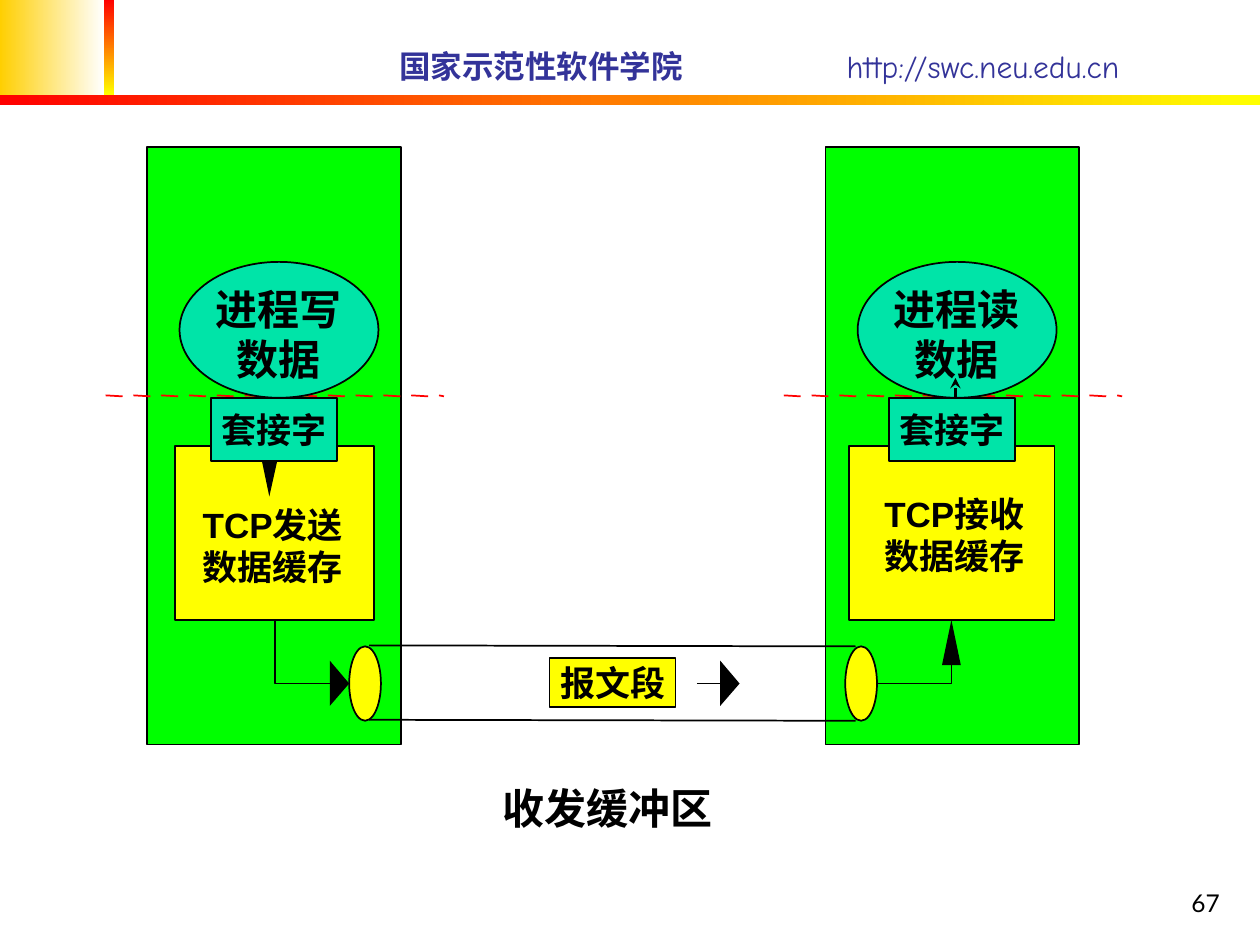
from lxml.etree import SubElement
from pptx import Presentation
from pptx.dml.color import RGBColor
from pptx.enum.shapes import MSO_CONNECTOR, MSO_SHAPE
from pptx.enum.text import MSO_ANCHOR, PP_ALIGN
from pptx.oxml.ns import qn
from pptx.util import Cm, Pt

COLORS = {
    "black": "000000", "white": "FFFFFF", "red": "FF0000", "yellow": "FFFF00",
    "gold": "FFCF01", "navy": "333399", "green": "00FF00", "teal": "00E4A8",
}
PADDING = (0.25, 0.13)
NO_PADDING = (0, 0)


def rgb(name):
    return RGBColor.from_string(COLORS[name])


def paint(shape, fill):
    """Give a shape a fill and a thin black outline."""
    shape.shadow.inherit = False
    shape.fill.solid()
    shape.fill.fore_color.rgb = rgb(fill)
    shape.line.color.rgb = rgb("black")
    shape.line.width = Pt(1)


def add_block(page, kind, x, y, width, height, fill):
    block = page.shapes.add_shape(kind, Cm(x), Cm(y), Cm(width), Cm(height))
    paint(block, fill)
    return block


def write(shape, text, size, font="Arial", bold=True, color="black", padding=NO_PADDING,
          align=PP_ALIGN.CENTER, anchor=MSO_ANCHOR.TOP, wrap=True):
    frame = shape.text_frame
    frame.margin_left = frame.margin_right = Cm(padding[0])
    frame.margin_top = frame.margin_bottom = Cm(padding[1])
    frame.word_wrap = wrap
    frame.vertical_anchor = anchor
    frame.text = text
    para = frame.paragraphs[0]
    para.alignment = align
    for span in para.runs:
        span.font.name = font
        span.font.size = Pt(size)
        span.font.bold = bold
        span.font.color.rgb = rgb(color)
    return para


def add_label(page, x, y, width, height, text, size, **style):
    box = page.shapes.add_textbox(Cm(x), Cm(y), Cm(width), Cm(height))
    return write(box, text, size, **style)


def add_line(page, start, end, color="black", width=1):
    line = page.shapes.add_connector(
        MSO_CONNECTOR.STRAIGHT, *(Cm(value) for value in (*start, *end)))
    line.line.color.rgb = rgb(color)
    line.line.width = Pt(width)
    SubElement(line.element.spPr, qn("a:effectLst"))
    return line


def add_outline(page, points, closed):
    corners = [(Cm(x), Cm(y)) for x, y in points]
    builder = page.shapes.build_freeform(*corners[0])
    builder.add_line_segments(corners[1:], close=closed)
    return builder.convert_to_shape()


def add_arrowhead(page, points):
    head = add_outline(page, points, closed=True)
    paint(head, "black")
    head.line.fill.background()


def add_elbow(page, points):
    elbow = add_outline(page, points, closed=False)
    paint(elbow, "black")
    elbow.fill.background()


def add_gradient_bar(page, x, y, width, height, first, last, angle):
    bar = add_block(page, MSO_SHAPE.RECTANGLE, x, y, width, height, first)
    bar.line.fill.background()
    bar.fill.gradient()
    bar.fill.gradient_angle = angle
    for stop, color, position in zip(bar.fill.gradient_stops, (first, last), (0, 1)):
        stop.color.rgb = rgb(color)
        stop.position = position


def add_header(page, x, y, width, height):
    # Gradient corner, upright bar and rule
    add_gradient_bar(page, x, y, 2.1, height, "gold", "white", 0)
    add_gradient_bar(page, x + 2.1, y, 0.2, height, "red", "yellow", 270)
    add_gradient_bar(page, x, y + height, width, 0.2, "red", "yellow", 0)

    # School name, with the address at a tab stop
    para = add_label(page, x + 7.8, y + 0.81, 17.02, 1.02, "国家示范性软件学院", 18,
                     font="Comic Neue", color="navy", padding=PADDING,
                     align=PP_ALIGN.LEFT, anchor=MSO_ANCHOR.MIDDLE)
    stops = SubElement(para._p.get_or_add_pPr(), qn("a:tabLst"))
    SubElement(stops, qn("a:tab"), pos=str(Cm(9.02)), algn="l")
    span = para.add_run()
    span.text = "\thttp://swc.neu.edu.cn"
    span.font.name = "Comic Neue"
    span.font.size = Pt(18)
    span.font.bold = False
    span.font.color.rgb = rgb("navy")


def add_host(page, x, y, process, buffer, sends):
    # Host and its TCP buffer
    add_block(page, MSO_SHAPE.RECTANGLE, x, y, 5.11, 12.04, "green")
    buffer_x, buffer_width = (0.56, 4.01) if sends else (0.48, 4.14)
    add_block(page, MSO_SHAPE.RECTANGLE, x + buffer_x, y + 6.02, buffer_width, 3.51, "yellow")
    text_x, text_y = (0.84, 7.19) if sends else (0.91, 6.96)
    add_label(page, x + text_x, y + text_y, 3.38, 1.7, buffer, 20)

    # Dashed boundary between application and system; the last dash is short
    for index in range(13):
        dash_x = x - 0.84 + index * 0.56
        length = 0.1 if index == 12 else 0.34
        add_line(page, (dash_x, y + 5), (dash_x + length, y + 5.02), "red")

    # Process and socket
    add_block(page, MSO_SHAPE.OVAL, x + 0.65, y + 2.31, 4.01, 2.74, "teal")
    add_label(page, x + 1.27, y + 2.74, 2.74, 2.03, process, 24)
    socket = add_block(page, MSO_SHAPE.RECTANGLE, x + 1.28, y + 5.05, 2.54, 1.27, "teal")
    write(socket, "套接字", 20, font="Comic Neue", padding=PADDING,
          anchor=MSO_ANCHOR.MIDDLE, wrap=False)

    # Data goes down into the buffer, or up into the process
    if sends:
        add_arrowhead(page, [(x + 2.62, y + 6.32), (x + 2.46, y + 7.04), (x + 2.31, y + 6.32)])
    else:
        arrow = add_line(page, (x + 2.62, y + 5.05), (x + 2.62, y + 4.65), width=2)
        SubElement(arrow.line._get_or_add_ln(), qn("a:tailEnd"), type="stealth")


def add_pipe(page, x, y, width, height):
    middle = y + height / 2
    cap = 0.64

    # End caps and walls
    for cap_x in (x, x + width - cap):
        add_block(page, MSO_SHAPE.OVAL, cap_x, y, cap, height, "yellow")
    for wall_y in (y - 0.02, y + height - 0.02):
        add_line(page, (x + 0.4, wall_y), (x + width - 0.43, wall_y + 0.02))

    # Segment moving to the right
    segment = add_block(page, MSO_SHAPE.RECTANGLE, x + 4.04, y + 0.23, 2.54, 0.99, "yellow")
    write(segment, "报文段", 20, anchor=MSO_ANCHOR.MIDDLE, wrap=False)
    add_line(page, (x + 7.01, middle), (x + 7.54, middle))

    # Paths from the sending buffer and to the receiving buffer
    buffer_y = y - 0.53
    add_elbow(page, [(x - 1.5, buffer_y), (x - 1.5, middle), (x - 0.36, middle)])
    up_x = x + width + 1.5
    add_elbow(page, [(x + width, middle), (up_x, middle), (up_x, y + 0.28)])
    for tip_x in (x, x + 7.87):
        add_arrowhead(page, [(tip_x - 0.39, middle - 0.46), (tip_x, middle),
                             (tip_x - 0.39, middle + 0.45)])
    add_arrowhead(page, [(up_x - 0.19, y + 0.38), (up_x, buffer_y), (up_x + 0.19, y + 0.38)])


def main():
    deck = Presentation()
    deck.slide_width, deck.slide_height = Cm(25.4), Cm(19.05)
    page = deck.slides.add_slide(deck.slide_layouts[6])

    add_header(page, 0, 0, 25.4, 1.92)
    add_host(page, 2.97, 2.97, "进程写数据", "TCP发送数据缓存", sends=True)
    add_host(page, 16.64, 2.97, "进程读数据", "TCP接收数据缓存", sends=False)
    add_pipe(page, 7.04, 13.03, 10.64, 1.5)

    # Caption and page number
    add_label(page, 8.66, 15.65, 7.19, 1.27, "收发缓冲区", 24,
              font="Comic Neue", padding=PADDING)
    add_label(page, 19.56, 17.35, 5.28, 1.27, "67", 14, font="Lato", bold=False,
              padding=PADDING, align=PP_ALIGN.RIGHT, anchor=MSO_ANCHOR.BOTTOM)
    deck.save("out.pptx")


if __name__ == "__main__":
    main()
